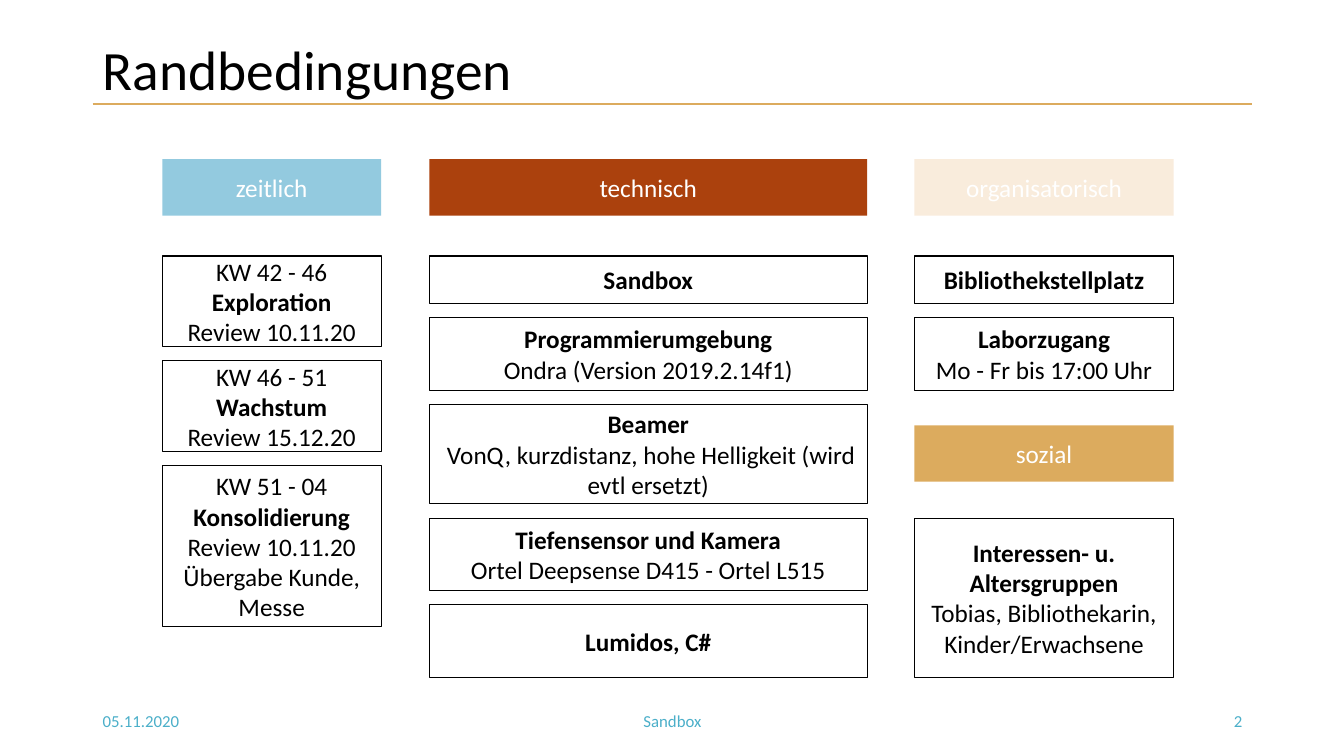
import pptx
import pptx.dml.color
import pptx.enum.shapes
import pptx.enum.text
import pptx.oxml
import pptx.util
from pptx.util import Inches

ALIGN = pptx.enum.text.PP_ALIGN
BLACK, WHITE, GOLD, FOOTER_BLUE = "000000", "FFFFFF", "DCAB5E", "4BAFC9"
BOLD_MARK = "*"  # leads every bold line

deck = pptx.Presentation()
deck.slide_width, deck.slide_height = Inches(13.33), Inches(7.5)
slide = deck.slides.add_slide(deck.slide_layouts[6])


def rgb(value):
    return pptx.dml.color.RGBColor.from_string(value)


def write(shape, lines, size, colour, align):
    frame = shape.text_frame
    frame.word_wrap = True
    frame.vertical_anchor = pptx.enum.text.MSO_ANCHOR.MIDDLE
    frame.text = "\n".join(line.removeprefix(BOLD_MARK) for line in lines)
    for line, paragraph in zip(lines, frame.paragraphs):
        paragraph.alignment = align
        font = paragraph.runs[0].font
        font.name, font.size = "Calibri", pptx.util.Pt(size)
        font.bold = line.startswith(BOLD_MARK)
        font.color.rgb = rgb(colour)


# Title with its rule
margin, content_width, rule_y = 0.92, 11.5, 1.03
rule = slide.shapes.add_connector(
    pptx.enum.shapes.MSO_CONNECTOR.STRAIGHT,
    Inches(margin), Inches(rule_y), Inches(margin + content_width), Inches(rule_y))
rule.line.color.rgb = rgb(GOLD)
rule.line.width = pptx.util.Pt(1.5)
rule._element.spPr.append(pptx.oxml.parse_xml(
    '<a:effectLst xmlns:a="http://schemas.openxmlformats.org/drawingml/2006/main"/>'))

title = slide.shapes.add_textbox(
    Inches(margin), Inches(0.4), Inches(content_width), Inches(0.63))
write(title, ["Randbedingungen"], 39.6, BLACK, ALIGN.LEFT)
title.text_frame.paragraphs[0].line_spacing = 0.9

# Footer
for left, width, text, align in [
    (margin, 3, "05.11.2020", ALIGN.LEFT),
    (4.42, 4.5, "Sandbox", ALIGN.CENTER),
    (margin + content_width - 3, 3, "2", ALIGN.RIGHT),
]:
    footer = slide.shapes.add_textbox(
        Inches(left), Inches(6.95), Inches(width), Inches(0.4))
    write(footer, [text], 12, FOOTER_BLUE, align)

# Columns as (left, width), and rows shared by the columns
time_column, tech_column, people_column = (1.61, 2.17), (4.26, 4.34), (9.07, 2.57)
heading_height, card_gap = 0.56, 0.14
heading_top, cards_top = 1.58, 2.54
social_heading_top, social_cards_top = 4.22, 5.14
one_line, two_lines, three_lines = 0.47, 0.72, 0.9

# Each group: column, heading, colour, heading top, cards top, cards (height, lines)
groups = [
    (time_column, "zeitlich", "93CADF", heading_top, cards_top, [
        (three_lines, ["KW 42 - 46", "*Exploration", "Review 10.11.20"]),
        (three_lines, ["KW 46 - 51", "*Wachstum", "Review 15.12.20"]),
        (1.6, ["KW 51 - 04", "*Konsolidierung", "Review 10.11.20",
               "Übergabe Kunde, Messe"]),
    ]),
    (tech_column, "technisch", "AB410D", heading_top, cards_top, [
        (one_line, ["*Sandbox"]),
        (two_lines, ["*Programmierumgebung", "Ondra (Version 2019.2.14f1)"]),
        (0.99, ["*Beamer",
                " VonQ, kurzdistanz, hohe Helligkeit (wird evtl ersetzt)"]),
        (two_lines, ["*Tiefensensor und Kamera", "Ortel Deepsense D415 - Ortel L515"]),
        (two_lines, ["*Lumidos, C#"]),
    ]),
    (people_column, "organisatorisch", "F9ECDC", heading_top, cards_top, [
        (one_line, ["*Bibliothekstellplatz"]),
        (two_lines, ["*Laborzugang", "Mo - Fr bis 17:00 Uhr"]),
    ]),
    (people_column, "sozial", GOLD, social_heading_top, social_cards_top, [
        (1.58, ["*Interessen- u.", "*Altersgruppen",
                "Tobias, Bibliothekarin, Kinder/Erwachsene"]),
    ]),
]

# Headings and stacked cards
for (left, width), heading, colour, top, card_top, cards in groups:
    boxes = [(top, heading_height, [heading], colour)]
    for height, lines in cards:
        boxes.append((card_top, height, lines, None))
        card_top += height + card_gap

    for box_top, height, lines, fill in boxes:
        box = slide.shapes.add_shape(
            pptx.enum.shapes.MSO_SHAPE.RECTANGLE,
            Inches(left), Inches(box_top), Inches(width), Inches(height))
        box.shadow.inherit = False
        if fill:
            box.fill.solid()
            box.fill.fore_color.rgb = rgb(fill)
            box.line.fill.background()
        else:
            box.fill.background()
            box.line.color.rgb = rgb(BLACK)
            box.line.width = pptx.util.Pt(0.75)
        write(box, lines, 18, WHITE if fill else BLACK, ALIGN.CENTER)

deck.save("out.pptx")
